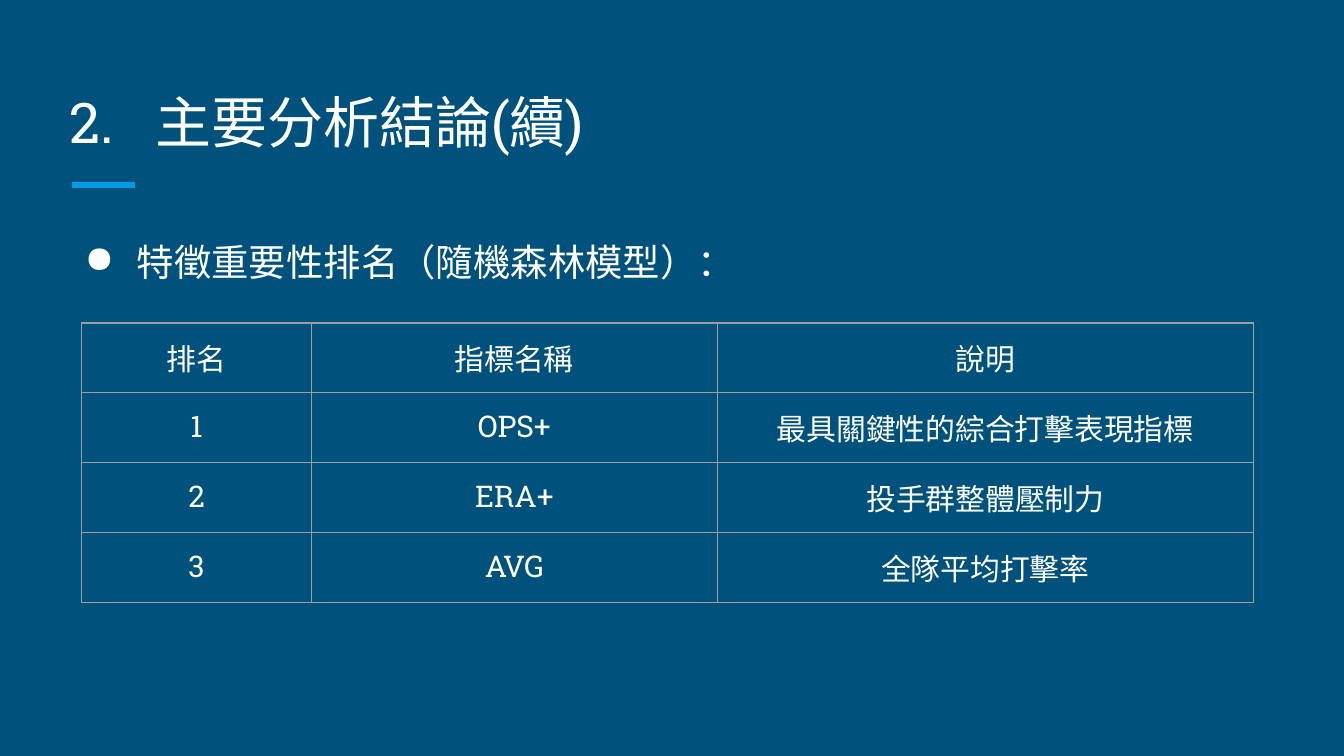
from dataclasses import dataclass

from lxml import etree
from pptx import Presentation
from pptx.dml.color import RGBColor
from pptx.enum.shapes import MSO_CONNECTOR
from pptx.enum.text import MSO_ANCHOR, PP_ALIGN
from pptx.oxml.ns import qn
from pptx.util import Pt

STRAIGHT = MSO_CONNECTOR.STRAIGHT
TOP, BOTTOM = MSO_ANCHOR.TOP, MSO_ANCHOR.BOTTOM
LEFT, CENTER = PP_ALIGN.LEFT, PP_ALIGN.CENTER

BACKGROUND, WHITE, ACCENT, BORDER = "00517C", "FFFFFF", "039BE5", "9E9E9E"
INSET = 7.2
COLUMN_WIDTHS = (123.1, 217.5, 287.3)
ROW_HEIGHT = 37.5
RANKING = (
    ("排名", "指標名稱", "說明"),
    ("1", "OPS+", "最具關鍵性的綜合打擊表現指標"),
    ("2", "ERA+", "投手群整體壓制力"),
    ("3", "AVG", "全隊平均打擊率"),
)


@dataclass
class TextBlock:
    text: str
    top: float
    height: float
    anchor: MSO_ANCHOR
    font: str
    size: float
    margin: float
    hanging: float
    line_spacing: float = 1.0
    bullet: str = ""


TITLE = TextBlock("2.\t主要分析結論(續)", 36, 54, BOTTOM, "Roboto Slab", 30, 46, 46)
BODY = TextBlock("特徵重要性排名（隨機森林模型）：", 117.3, 242.7, TOP, "Roboto", 20,
                 36, 28, 1.15, "●")


def color(value: str) -> RGBColor:
    return RGBColor.from_string(value)


def style_paragraph(para, font: str, size: float, align: PP_ALIGN) -> None:
    para.alignment = align
    para.font.name = font
    para.font.size = Pt(size)
    para.font.color.rgb = color(WHITE)


def set_insets(target) -> None:
    target.margin_left = target.margin_right = Pt(INSET)
    target.margin_top = target.margin_bottom = Pt(INSET)


def add_solid_fill(parent, value: str) -> None:
    fill = etree.SubElement(parent, qn("a:solidFill"))
    etree.SubElement(fill, qn("a:srgbClr"), val=value)


def add_text(page, block: TextBlock) -> None:
    box = page.shapes.add_textbox(Pt(30.2), Pt(block.top), Pt(658.8), Pt(block.height))
    frame = box.text_frame
    frame.word_wrap = True
    frame.vertical_anchor = block.anchor
    set_insets(frame)
    para = frame.paragraphs[0]
    para.text = block.text
    para.line_spacing = block.line_spacing
    style_paragraph(para, block.font, block.size, LEFT)
    properties = para._p.get_or_add_pPr()
    properties.set("marL", str(Pt(block.margin)))
    properties.set("indent", str(-Pt(block.hanging)))
    if block.bullet:
        add_solid_fill(properties, WHITE)
        properties[-1].tag = qn("a:buClr")
        bullet_color = properties[-1]
        bullet_color[0].tag = qn("a:srgbClr")
        bullet = etree.SubElement(properties, qn("a:buChar"), char=block.bullet)
        properties.remove(bullet_color)
        bullet.addprevious(bullet_color)
        default_run = properties.find(qn("a:defRPr"))
        if default_run is not None:
            properties.append(default_run)


def add_accent(page) -> None:
    accent = page.shapes.add_connector(STRAIGHT, Pt(38.6), Pt(99.2), Pt(72.3), Pt(99.2))
    accent.line.color.rgb = color(ACCENT)
    accent.line.width = Pt(3)
    etree.SubElement(accent._element.spPr, qn("a:effectLst"))


def set_borders(cell) -> None:
    properties = cell._tc.get_or_add_tcPr()
    for index, side in enumerate(("lnL", "lnR", "lnT", "lnB")):
        line = etree.Element(qn(f"a:{side}"), w=str(Pt(0.75)))
        add_solid_fill(line, BORDER)
        properties.insert(index, line)


def add_ranking(page) -> None:
    frame = page.shapes.add_table(len(RANKING), len(COLUMN_WIDTHS), Pt(43.7), Pt(173),
                                  Pt(sum(COLUMN_WIDTHS)), Pt(ROW_HEIGHT * len(RANKING)))
    table = frame.table
    table.first_row = table.horz_banding = False
    for column, width in zip(table.columns, COLUMN_WIDTHS):
        column.width = Pt(width)
    for row, texts in zip(table.rows, RANKING):
        row.height = Pt(ROW_HEIGHT)
        for cell, text in zip(row.cells, texts):
            cell.text = text
            cell.fill.background()
            set_insets(cell)
            set_borders(cell)
            style_paragraph(cell.text_frame.paragraphs[0], "Roboto Slab", 16, CENTER)


def main() -> None:
    deck = Presentation()
    deck.slide_width, deck.slide_height = Pt(720), Pt(405)
    page = deck.slides.add_slide(deck.slide_layouts[6])
    page.background.fill.solid()
    page.background.fill.fore_color.rgb = color(BACKGROUND)
    add_accent(page)
    add_text(page, TITLE)
    add_text(page, BODY)
    add_ranking(page)
    deck.save("out.pptx")


if __name__ == "__main__":
    main()
